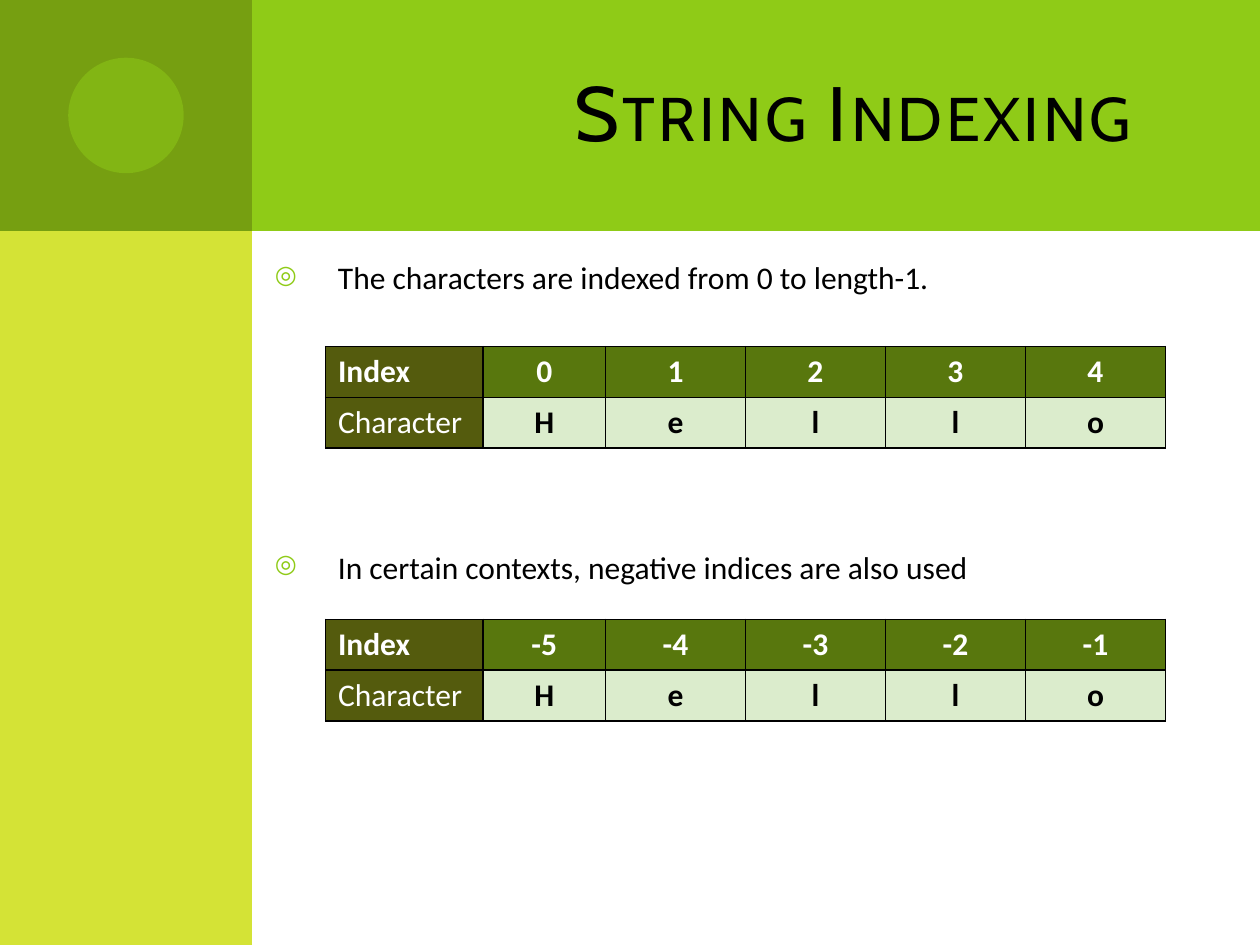
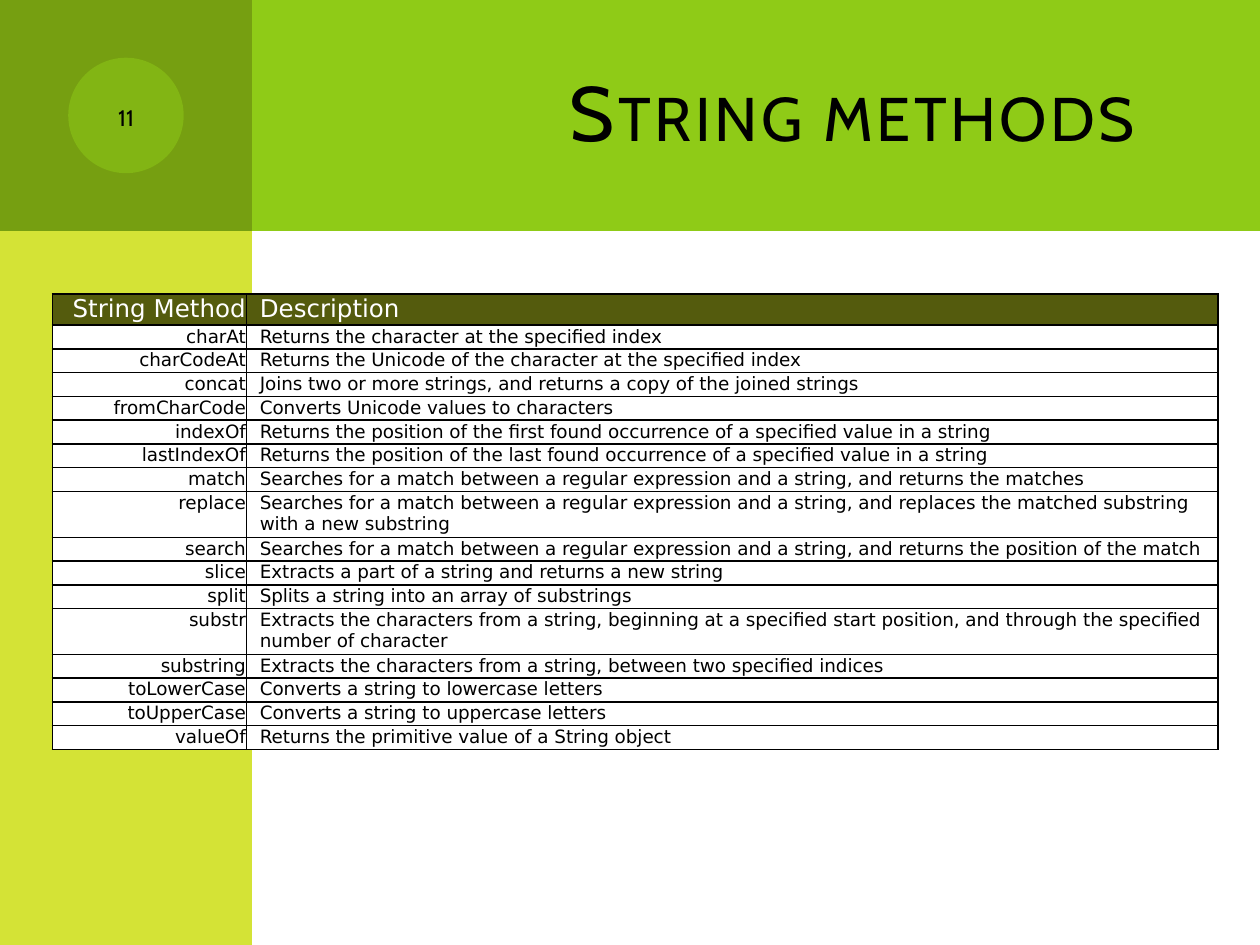
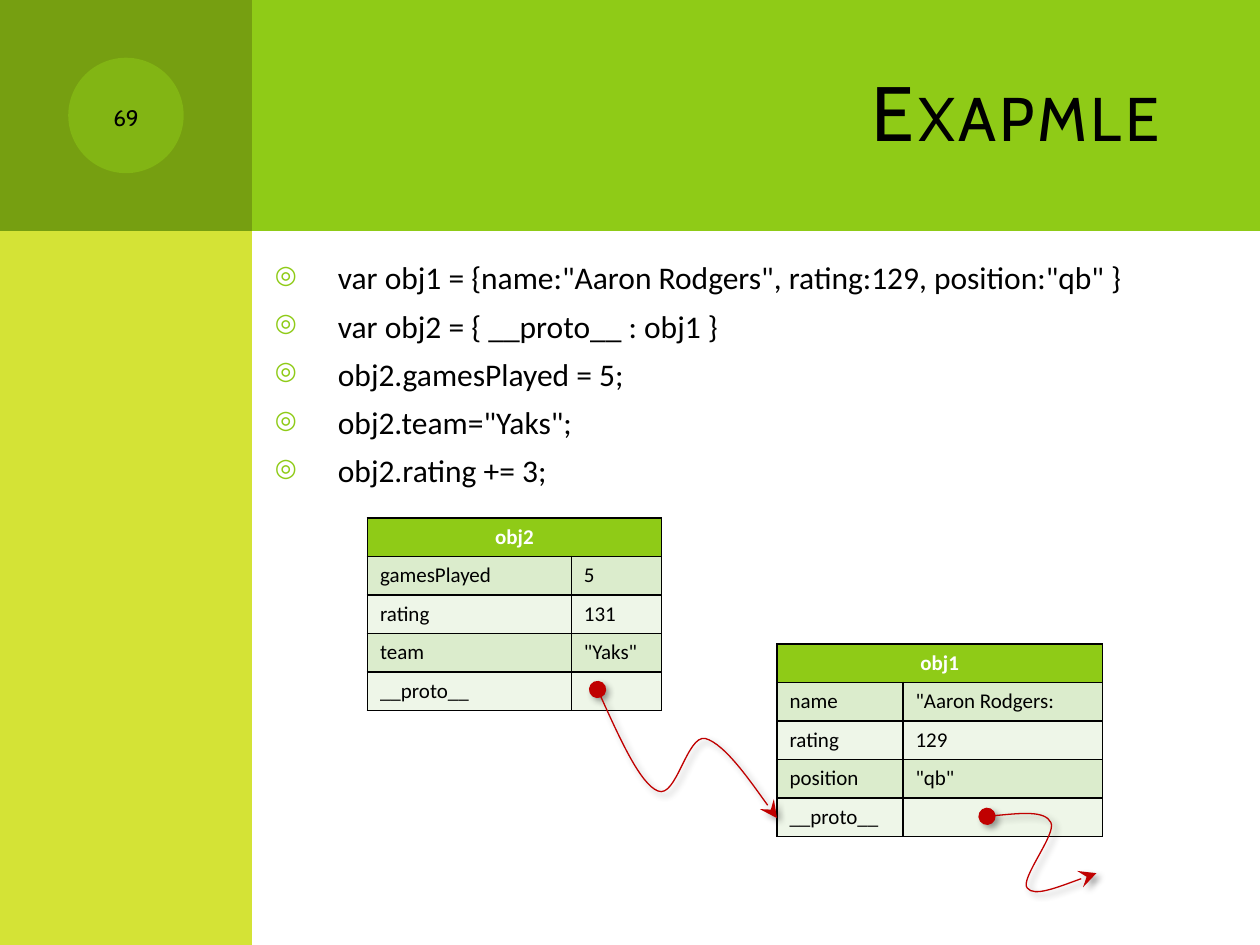
"""Build three slides on JavaScript strings and object prototypes."""
from lxml.etree import SubElement
from pptx import Presentation
from pptx.dml.color import RGBColor
from pptx.enum.shapes import MSO_SHAPE
from pptx.enum.text import MSO_ANCHOR, MSO_AUTO_SIZE, PP_ALIGN
from pptx.oxml.ns import qn
from pptx.util import Pt

PX = 6350
BLACK = RGBColor(0x00, 0x00, 0x00)
WHITE = RGBColor(0xFF, 0xFF, 0xFF)
GREEN = RGBColor(0x8F, 0xCB, 0x17)
LIME = RGBColor(0xD4, 0xE3, 0x36)
MOSS = RGBColor(0x76, 0x9F, 0x11)
OLIVE = RGBColor(0x54, 0x5B, 0x0D)
LEAF = RGBColor(0x58, 0x77, 0x0D)
PALE = RGBColor(0xDB, 0xEC, 0xCC)
PALER = RGBColor(0xEE, 0xF6, 0xE8)
RED = RGBColor(0xC0, 0x00, 0x00)
LEFT, CENTER, RIGHT = PP_ALIGN.LEFT, PP_ALIGN.CENTER, PP_ALIGN.RIGHT


def set_font(p, name, size, color, bold=False):
    for r in p.runs:
        r.font.name = name
        r.font.size = Pt(size)
        r.font.color.rgb = color
        r.font.bold = bold


def add_grid(s, x, y, cols, heights, rows, font, size, style):
    frame = s.shapes.add_table(len(rows), len(cols), x * PX, y * PX, sum(cols) * PX, sum(heights) * PX)
    table = frame.table
    for col, width in zip(table.columns, cols):
        col.width = width * PX
    for row, height in zip(table.rows, heights):
        row.height = height * PX
    for i, row in enumerate(rows):
        for j, text in enumerate(row):
            fill, color, bold, align = style(i, j)
            cell = table.cell(i, j)
            tcPr = cell._tc.get_or_add_tcPr()
            for side in ("lnL", "lnR", "lnT", "lnB"):
                ln = SubElement(tcPr, qn(f"a:{side}"), w="12700")
                SubElement(SubElement(ln, qn("a:solidFill")), qn("a:srgbClr"), val=str(BLACK))
            cell.fill.solid()
            cell.fill.fore_color.rgb = fill
            p = cell.text_frame.paragraphs[0]
            p.text = text
            p.alignment = align
            set_font(p, font, size, color, bold)
            if not text:
                SubElement(p._p, qn("a:endParaRPr"), sz=str(size * 100))
    return table


prs = Presentation()
prs.slide_width, prs.slide_height = 1440 * PX, 1080 * PX
layout = prs.slide_layouts[5]
titles = ["String Indexing", "String methods", "Exapmle"]
slides = [prs.slides.add_slide(layout) for _ in titles]
indexing, methods, example = slides

bands = [
    (MSO_SHAPE.RECTANGLE, 72, 0, 1368, 264, GREEN),
    (MSO_SHAPE.RECTANGLE, 0, 0, 288, 1080, LIME),
    (MSO_SHAPE.RECTANGLE, 0, 0, 288, 264, MOSS),
    (MSO_SHAPE.OVAL, 78, 66, 132, 132, GREEN),
]
for i, (kind, x, y, w, h, color) in enumerate(bands):
    sp = indexing.shapes.add_shape(kind, x * PX, y * PX, w * PX, h * PX)
    sp.shadow.inherit = False
    sp.fill.solid()
    sp.fill.fore_color.rgb = color
    sp.line.fill.background()
    if kind == MSO_SHAPE.OVAL:
        clr = sp.element.spPr.find(qn("a:solidFill")).find(qn("a:srgbClr"))
        SubElement(clr, qn("a:alpha"), val="50000")
    layout.shapes.element.insert(2 + i, sp.element)

for s, text in zip(slides, titles):
    sp = s.shapes.title
    sp.left, sp.top, sp.width, sp.height = 384 * PX, 36 * PX, 984 * PX, 180 * PX
    tf = sp.text_frame
    tf.text = text
    tf.auto_size = MSO_AUTO_SIZE.NONE
    tf.vertical_anchor = MSO_ANCHOR.MIDDLE
    p = tf.paragraphs[0]
    p.alignment = RIGHT
    set_font(p, "Cabin", 44, BLACK)
    rPr = p.runs[0].font._element
    rPr.set("cap", "small")
    rPr.set("spc", "200")

for s, number in [(methods, "11"), (example, "69")]:
    tf = s.shapes.add_textbox(84 * PX, 84 * PX, 120 * PX, 96 * PX).text_frame
    tf.word_wrap = True
    tf.text = number
    tf.vertical_anchor = MSO_ANCHOR.MIDDLE
    p = tf.paragraphs[0]
    p.alignment = CENTER
    set_font(p, "Cabin", 16, BLACK)
    p.runs[0].font._element.set("cap", "small")

bullets = [
    (indexing, 144, [
        "The characters are indexed from 0 to length-1.",
        "In certain contexts, negative indices are also used",
    ]),
    (example, 6, [
        'var obj1 = {name:"Aaron Rodgers", rating:129, position:"qb" }',
        "var obj2 = { __proto__ : obj1 }",
        "obj2.gamesPlayed = 5;",
        'obj2.team="Yaks";',
        "obj2.rating += 3;",
    ]),
]
for s, gap, lines in bullets:
    tf = s.shapes.add_textbox(300 * PX, 288 * PX, 1116 * PX, 684 * PX).text_frame
    tf.word_wrap = True
    for i, line in enumerate(lines):
        p = tf.add_paragraph() if i else tf.paragraphs[0]
        p.text = line
        p.space_before = Pt(gap if i else 6)
        set_font(p, "Calibri", 18, BLACK)
        pPr = p._p.get_or_add_pPr()
        pPr.set("marL", str(72 * PX))
        pPr.set("indent", str(-72 * PX))
        SubElement(SubElement(pPr, qn("a:buClr")), qn("a:srgbClr"), val=str(GREEN))
        SubElement(pPr, qn("a:buSzPct"), val="80000")
        SubElement(pPr, qn("a:buChar"), char="◎")

index_styles = [
    [(OLIVE, WHITE, True, LEFT), (LEAF, WHITE, True, CENTER)],
    [(OLIVE, WHITE, False, LEFT), (PALE, BLACK, True, CENTER)],
]
for y, start in [(396, 0), (708, -5)]:
    rows = [["Index", *(str(start + i) for i in range(5))], ["Character", *"Hello"]]
    add_grid(indexing, 372, y, [180, 140] + [160] * 4, [58, 58], rows, "Calibri", 18,
             lambda i, j: index_styles[i][min(j, 1)])

method_rows = [
    ("String Method", "Description"),
    ("charAt", "Returns the character at the specified index"),
    ("charCodeAt", "Returns the Unicode of the character at the specified index"),
    ("concat", "Joins two or more strings, and returns a copy of the joined strings"),
    ("fromCharCode", "Converts Unicode values to characters"),
    ("indexOf", "Returns the position of the first found occurrence of a specified value in a string"),
    ("lastIndexOf", "Returns the position of the last found occurrence of a specified value in a string"),
    ("match", "Searches for a match between a regular expression and a string, and returns the matches"),
    ("replace", "Searches for a match between a regular expression and a string, "
                "and replaces the matched substring with a new substring"),
    ("search", "Searches for a match between a regular expression and a string, "
               "and returns the position of the match"),
    ("slice", "Extracts a part of a string and returns a new string"),
    ("split", "Splits a string into an array of substrings"),
    ("substr", "Extracts the characters from a string, beginning at a specified start position, "
               "and through the specified number of character"),
    ("substring", "Extracts the characters from a string, between two specified indices"),
    ("toLowerCase", "Converts a string to lowercase letters"),
    ("toUpperCase", "Converts a string to uppercase letters"),
    ("valueOf", "Returns the primitive value of a String object"),
]
heights = [35] + [51 if name in ("replace", "substr") else 27 for name, _ in method_rows[1:]]
table = add_grid(methods, 60, 336, [222, 1110], heights, method_rows, "DejaVu Sans", 10.5,
                 lambda i, j: (WHITE if i else OLIVE, BLACK if i else WHITE, False, LEFT if j else RIGHT))
for cell in table.iter_cells():
    cell.margin_left = cell.margin_right = cell.margin_top = cell.margin_bottom = PX
for row in table.rows:
    row.cells[1].text_frame.paragraphs[0]._p.get_or_add_pPr().set("marL", str(14 * PX))
for cell in table.rows[0].cells:
    set_font(cell.text_frame.paragraphs[0], "DejaVu Sans", 14, WHITE)

objects = [
    (888, 736, [144, 228], [("obj1", ""), ("name", '"Aaron Rodgers:'), ("rating", "129"),
                            ("position", '"qb"'), ("__proto__", "")]),
    (420, 592, [233, 103], [("obj2", ""), ("gamesPlayed", "5"), ("rating", "131"),
                            ("team", '"Yaks"'), ("__proto__", "")]),
]
for x, y, cols, rows in objects:
    table = add_grid(example, x, y, cols, [44] * 5, rows, "Calibri", 12,
                     lambda i, j: (PALE if i % 2 else PALER, BLACK, False, LEFT) if i
                     else (GREEN, WHITE, True, CENTER))
    table.cell(0, 0).merge(table.cell(0, 1))

proto_links = [
    [(683, 788), (707, 841), (732, 896), (752, 904), (773, 913), (785, 840), (806, 844),
     (829, 850), (888, 935), (888, 935)],
    [(1128, 933), (1161, 930), (1194, 926), (1201, 940), (1208, 953), (1165, 1005), (1174, 1015),
     (1182, 1025), (1217, 1011), (1253, 998)],
]
for start, *points in proto_links:
    builder = example.shapes.build_freeform(*start, scale=PX)
    builder.add_line_segments(points, close=False)
    sp = builder.convert_to_shape()
    sp.shadow.inherit = False
    sp.fill.background()
    sp.line.color.rgb = RED
    sp.line.width = Pt(0.75)
    spPr = sp.element.spPr
    segments = list(spPr.iter(qn("a:lnTo")))
    for i in range(0, len(segments), 3):
        curve = SubElement(segments[i].getparent(), qn("a:cubicBezTo"))
        for segment in segments[i:i + 3]:
            curve.append(segment[0])
            segment.getparent().remove(segment)
    ln = spPr.find(qn("a:ln"))
    SubElement(ln, qn("a:headEnd"), type="oval", w="lg", len="lg")
    SubElement(ln, qn("a:tailEnd"), type="stealth", w="lg", len="lg")
    shadow = SubElement(spPr.find(qn("a:effectLst")), qn("a:outerShdw"), blurRad=str(Pt(4)),
                        dist=str(Pt(3)), dir="2700000", rotWithShape="0")
    clr = SubElement(shadow, qn("a:srgbClr"), val=str(BLACK))
    SubElement(clr, qn("a:alpha"), val="40000")

prs.save("out.pptx")
